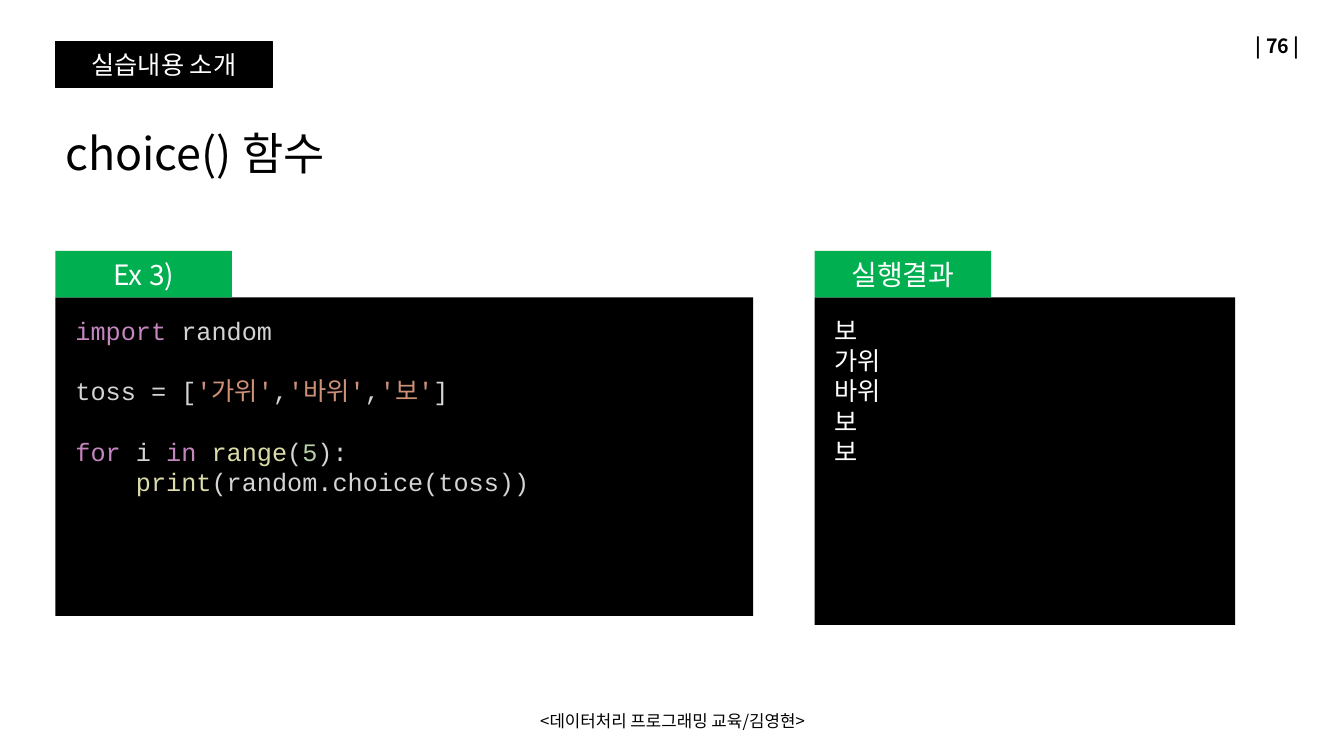
from lxml.etree import SubElement
from pptx import Presentation
from pptx.dml.color import RGBColor as RGB
from pptx.enum.shapes import MSO_SHAPE as Shape
from pptx.enum.text import MSO_ANCHOR as Anchor, PP_ALIGN as Align
from pptx.oxml.ns import qn
from pptx.util import Inches, Pt

BLACK = RGB(0x00, 0x00, 0x00)
WHITE = RGB(0xFF, 0xFF, 0xFF)
GREEN = RGB(0x00, 0xB0, 0x50)
PLAIN = RGB(0xD4, 0xD4, 0xD4)
KEYWORD = RGB(0xC5, 0x86, 0xC0)
STRING = RGB(0xCE, 0x91, 0x78)
BUILTIN = RGB(0xDC, 0xDC, 0xAA)
NUMBER = RGB(0xB5, 0xCE, 0xA8)

SANS = "Noto Sans CJK KR"
MONO = "Courier New"
LINE = Pt(21.6)

LEFT = 4.13
TAB_TOP, TAB_WIDTH, TAB_HEIGHT = 33.2, 13.13, 6.13
PANEL_TOP = TAB_TOP + TAB_HEIGHT

CODE = [
    [("import", KEYWORD), (" random", PLAIN)],
    [("toss = [", PLAIN), ("'가위'", STRING), (",", PLAIN), ("'바위'", STRING),
     (",", PLAIN), ("'보'", STRING), ("]", PLAIN)],
    [("for ", KEYWORD), ("i ", PLAIN), ("in ", KEYWORD), ("range", BUILTIN),
     ("(", PLAIN), ("5", NUMBER), ("):", PLAIN)],
    [("    print", BUILTIN), ("(random.choice(toss))", PLAIN)],
]
SPACED_LINES = (1, 2)
RESULTS = ["보", "가위", "바위", "보", "보"]


class LessonSlide:
    """Draws lesson elements on one slide, placed by percent of its size."""

    def __init__(self, prs):
        self.width, self.height = prs.slide_width, prs.slide_height
        self.shapes = prs.slides.add_slide(prs.slide_layouts[6]).shapes

    def place(self, x, y, w, h):
        return [round(share * size / 100) for share, size in
                zip((x, y, w, h), (self.width, self.height) * 2)]

    def style(self, paragraph, size, color=None, face=SANS, bold=False):
        font = paragraph.font
        font.size, font.name, font.bold = Pt(size), face, bold
        if color is not None:
            font.color.rgb = color
        defaults = paragraph._p.pPr.find(qn("a:defRPr"))
        SubElement(defaults, qn("a:ea")).set("typeface", SANS)

    def caption(self, frame, text, size, color, align, anchor, bold=False):
        frame.word_wrap = True
        frame.vertical_anchor = anchor
        line = frame.paragraphs[0]
        line.text, line.alignment = text, align
        self.style(line, size, color, bold=bold)

    def label(self, box, text, size, align=Align.LEFT, anchor=Anchor.MIDDLE, bold=False):
        frame = self.shapes.add_textbox(*self.place(*box)).text_frame
        self.caption(frame, text, size, BLACK, align, anchor, bold)

    def block(self, box, fill, text="", size=18, outlined=False):
        rect = self.shapes.add_shape(Shape.RECTANGLE, *self.place(*box))
        rect.shadow.inherit = False
        rect.fill.solid()
        rect.fill.fore_color.rgb = fill
        if outlined:
            rect.line.color.rgb, rect.line.width = fill, Pt(1)
        else:
            rect.line.fill.background()
        if text:
            self.caption(rect.text_frame, text, size, WHITE, Align.CENTER, Anchor.MIDDLE)

    def panel(self, x, width, height, heading, lines, face=SANS, spaced=()):
        self.block((x, PANEL_TOP, width, height), BLACK)
        self.block((x, TAB_TOP, TAB_WIDTH, TAB_HEIGHT), GREEN, heading, 20)
        listing = (x + 0.75, PANEL_TOP + 1.7, width - 1.5, height / 2)
        frame = self.shapes.add_textbox(*self.place(*listing)).text_frame
        frame.word_wrap = True
        for index, tokens in enumerate(lines):
            line = frame.add_paragraph() if index else frame.paragraphs[0]
            for text, color in tokens:
                token = line.add_run()
                token.text = text
                token.font.color.rgb = color
            line.line_spacing = LINE
            if index in spaced:
                line.space_before = LINE
            self.style(line, 18, face=face)


def main():
    prs = Presentation()
    prs.slide_width, prs.slide_height = Inches(13.33), Inches(7.5)
    lesson = LessonSlide(prs)
    lesson.label((74.94, 3.33, 22.5, 5.33), "| 76 |", 14, Align.RIGHT, bold=True)
    lesson.block((LEFT, 5.47, 16.13, 6.13), BLACK, "실습내용 소개", outlined=True)
    lesson.label((LEFT, 14.93, 73, 9.47), "choice() 함수", 32, anchor=Anchor.BOTTOM)
    lesson.label((33.16, 92.67, 33.76, 5.33), "<데이터처리 프로그래밍 교육/김영현>", 12, Align.CENTER)
    lesson.panel(LEFT, 51.91, 42.13, "Ex 3)", CODE, MONO, SPACED_LINES)
    lesson.panel(60.62, 31.28, 43.33, "실행결과", [[(hand, WHITE)] for hand in RESULTS])
    prs.save("out.pptx")


if __name__ == "__main__":
    main()
